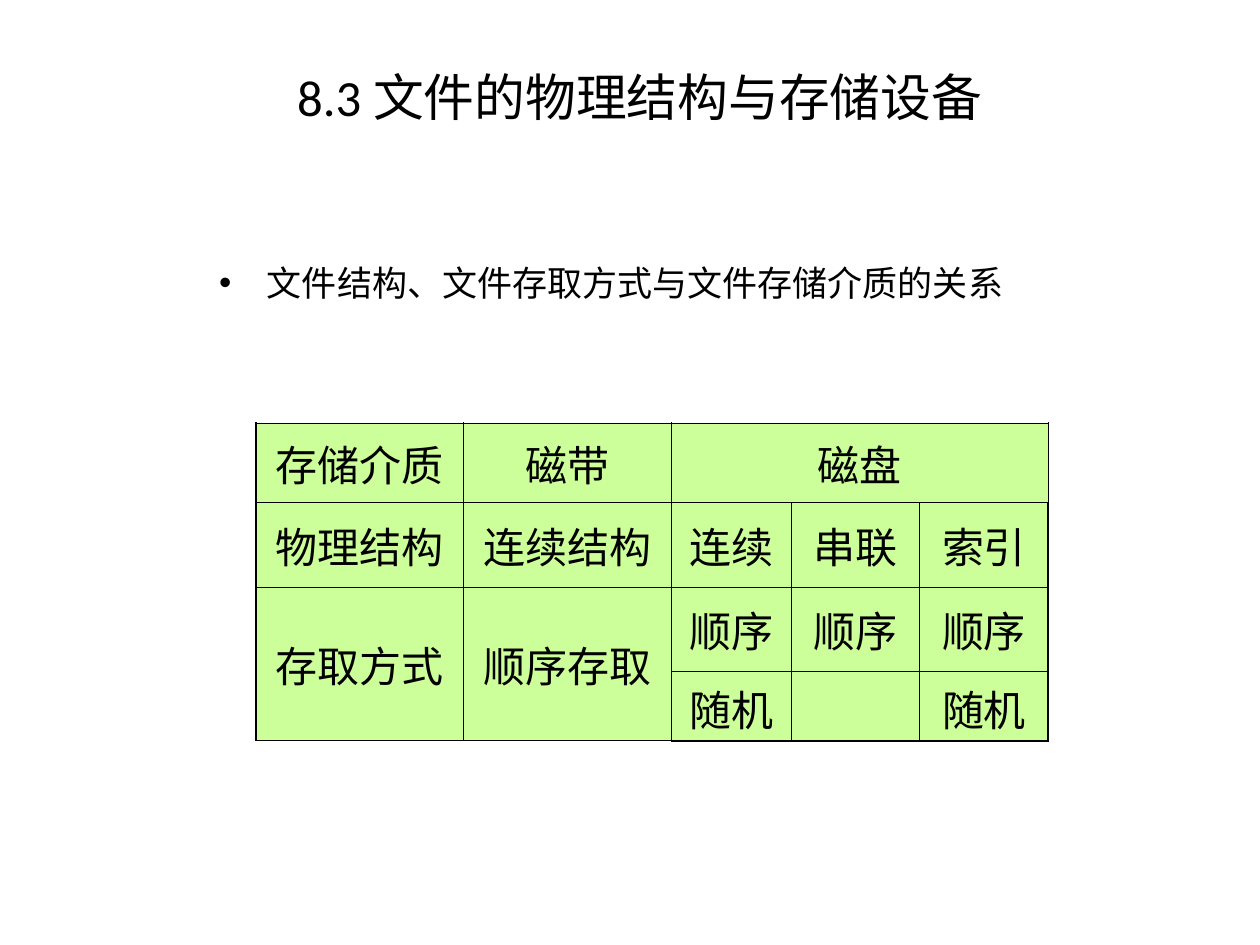
"""Build a slide relating file structure, access method and storage medium."""
from lxml import etree
from pptx import Presentation
from pptx.dml.color import RGBColor
from pptx.enum.text import MSO_ANCHOR, PP_ALIGN
from pptx.oxml.ns import qn
from pptx.util import Inches, Pt

MIDDLE, TOP = MSO_ANCHOR.MIDDLE, MSO_ANCHOR.TOP
CENTER, LEFT = PP_ALIGN.CENTER, PP_ALIGN.LEFT
BLACK, GREEN = "000000", "CCFF99"
CJK_FONT = "Noto Sans CJK SC"
THIN, THICK = 0.45, 1.08

TITLE = "8.3 文件的物理结构与存储设备"
POINT = "文件结构、文件存取方式与文件存储介质的关系"
ROWS = [
    ["存储介质", "磁带", "磁盘", "", ""],
    ["物理结构", "连续结构", "连续", "串联", "索引"],
    ["存取方式", "顺序存取", "顺序", "顺序", "顺序"],
    ["", "", "随机", "", "随机"],
]
MERGES = [((0, 2), (0, 4)), ((2, 0), (3, 0)), ((2, 1), (3, 1))]
COLUMN_WIDTHS = [1.65, 1.65, 0.95, 1.02, 1.02]
ROW_HEIGHTS = [0.63, 0.67, 0.67, 0.55]


def color(value):
    return RGBColor.from_string(value)


def write(frame, text, size, font, align=LEFT, bullet=None, indent=0.38):
    para = frame.paragraphs[0]
    para.alignment = align
    if bullet:
        props = para._p.get_or_add_pPr()
        props.set("marL", str(Inches(indent)))
        props.set("indent", str(-Inches(indent)))
        etree.SubElement(props, qn("a:buFont"), typeface="Arial")
        etree.SubElement(props, qn("a:buChar"), char=bullet)
    span = para.add_run()
    span.text = text
    span.font.size = Pt(size)
    span.font.name = font
    span.font.color.rgb = color(BLACK)
    etree.SubElement(span._r.get_or_add_rPr(), qn("a:ea"), typeface=CJK_FONT)


def add_text(page, place, text, size, font, anchor=TOP, **layout):
    box = page.shapes.add_textbox(*map(Inches, place))
    box.text_frame.word_wrap = True
    box.text_frame.vertical_anchor = anchor
    write(box.text_frame, text, size, font, **layout)


def set_borders(cell, widths):
    props = cell._tc.get_or_add_tcPr()
    for position, (side, width) in enumerate(widths.items()):
        line = etree.Element(qn(f"a:ln{side}"), w=str(Pt(width)))
        fill = etree.SubElement(line, qn("a:solidFill"))
        etree.SubElement(fill, qn("a:srgbClr"), val=BLACK)
        props.insert(position, line)


def add_grid(page, left, top):
    last_row, last_column = len(ROWS) - 1, len(COLUMN_WIDTHS) - 1
    size = sum(COLUMN_WIDTHS), sum(ROW_HEIGHTS)
    table = page.shapes.add_table(
        len(ROWS), len(COLUMN_WIDTHS), *map(Inches, (left, top, *size))).table
    for column, width in zip(table.columns, COLUMN_WIDTHS):
        column.width = Inches(width)
    for row, height in zip(table.rows, ROW_HEIGHTS):
        row.height = Inches(height)
    for r, texts in enumerate(ROWS):
        for c, text in enumerate(texts):
            cell = table.cell(r, c)
            cell.vertical_anchor = MIDDLE
            cell.fill.solid()
            cell.fill.fore_color.rgb = color(GREEN)
            edges = {"L": c == 0, "R": c == last_column, "T": r == 0, "B": r == last_row}
            set_borders(cell, {side: THICK if outer else THIN for side, outer in edges.items()})
            if text:
                write(cell.text_frame, text, 24, "Roboto", align=CENTER)
    for first, last in MERGES:
        table.cell(*first).merge(table.cell(*last))


def main():
    deck = Presentation()
    deck.slide_width, deck.slide_height = Inches(10), Inches(7.5)
    page = deck.slides.add_slide(deck.slide_layouts[6])
    add_text(page, (0.58, 0.45, 9, 0.62), TITLE, 29, "Calibri", anchor=MIDDLE, align=CENTER)
    add_text(page, (1.64, 2.03, 7.31, 0.6), POINT, 20, CJK_FONT, bullet="•")
    add_grid(page, 2.03, 3.36)
    deck.save("out.pptx")


if __name__ == "__main__":
    main()
